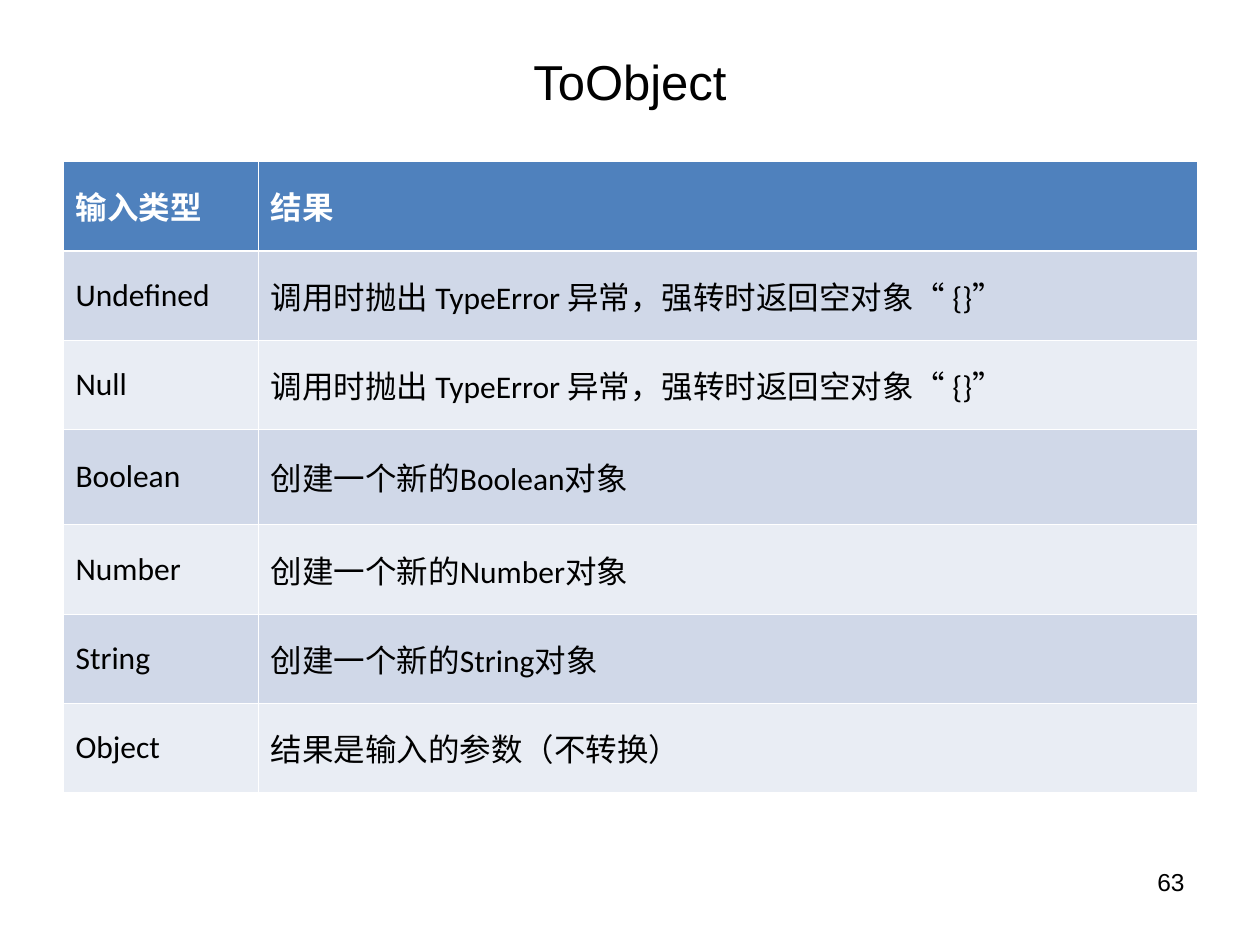
import pptx
import pptx.dml.color
import pptx.enum.text
import pptx.oxml
import pptx.oxml.ns
import pptx.util

Pt = pptx.util.Pt
RGBColor = pptx.dml.color.RGBColor
Align = pptx.enum.text.PP_ALIGN
Anchor = pptx.enum.text.MSO_ANCHOR

BLACK = RGBColor(0x00, 0x00, 0x00)
WHITE = RGBColor(0xFF, 0xFF, 0xFF)
HEADER_BLUE = RGBColor(0x4F, 0x81, 0xBD)
BAND_DARK = RGBColor(0xD0, 0xD8, 0xE8)
BAND_LIGHT = RGBColor(0xE9, 0xED, 0xF4)

THIN = 0.45
THICK = 1.47
COLUMN_WIDTHS = (111.6, 536.4)
ROW_HEIGHTS = (51, 51, 51, 54.6, 51, 51, 51)

THROWS = (
    ("调用时抛出 TypeError 异常，强转时返回空对象", "Calibri"),
    ("“ ", "Arial"),
    ("{}", "Calibri"),
    ("”", "Arial"),
)


def plain(text):
    """Return text as a single Calibri run."""
    return ((text, "Calibri"),)


ROWS = [
    ("输入类型", plain("结果")),
    ("Undefined", THROWS),
    ("Null", THROWS),
    *((name, plain(f"创建一个新的{name}对象")) for name in ("Boolean", "Number", "String")),
    ("Object", plain("结果是输入的参数（不转换）")),
]


def add_text(slide, box, text, size, alignment, anchor):
    """Place one line of Arial text in the box."""
    shape = slide.shapes.add_textbox(*map(Pt, box))
    frame = shape.text_frame
    frame.word_wrap = True
    frame.vertical_anchor = anchor
    paragraph = frame.paragraphs[0]
    paragraph.text = text
    paragraph.alignment = alignment
    paragraph.font.size = Pt(size)
    paragraph.font.name = "Arial"
    paragraph.font.color.rgb = BLACK


def set_borders(cell, top, bottom):
    """Draw white borders of the given top and bottom widths."""
    properties = cell._tc.get_or_add_tcPr()
    for side, width in (("L", THIN), ("R", THIN), ("T", top), ("B", bottom)):
        properties.append(pptx.oxml.parse_xml(
            f'<a:ln{side} {pptx.oxml.ns.nsdecls("a")} w="{int(Pt(width))}">'
            f'<a:solidFill><a:srgbClr val="{WHITE}"/></a:solidFill></a:ln{side}>'
        ))


def fill_cell(cell, runs, row):
    """Write the runs into a cell and style it by its row number."""
    is_header = row == 0
    set_borders(cell, THICK if row == 1 else THIN, THICK if is_header else THIN)
    cell.fill.solid()
    cell.fill.fore_color.rgb = HEADER_BLUE if is_header else (BAND_LIGHT, BAND_DARK)[row % 2]
    cell.vertical_anchor = Anchor.MIDDLE
    paragraph = cell.text_frame.paragraphs[0]
    paragraph.font.size = Pt(18)
    paragraph.font.bold = is_header
    paragraph.font.color.rgb = WHITE if is_header else BLACK
    for text, font_name in runs:
        run = paragraph.add_run()
        run.text = text
        run.font.name = font_name


def add_conversion_table(slide, box):
    """Place the table of input types and conversion results in the box."""
    table = slide.shapes.add_table(len(ROWS), len(COLUMN_WIDTHS), *map(Pt, box)).table
    for column, width in zip(table.columns, COLUMN_WIDTHS):
        column.width = Pt(width)
    for row, (input_type, result) in enumerate(ROWS):
        table.rows[row].height = Pt(ROW_HEIGHTS[row])
        fill_cell(table.cell(row, 0), plain(input_type), row)
        fill_cell(table.cell(row, 1), result, row)


def main():
    """Build the slide and save it."""
    presentation = pptx.Presentation()
    presentation.slide_width = Pt(720)
    presentation.slide_height = Pt(540)
    slide = presentation.slides.add_slide(presentation.slide_layouts[6])
    add_text(slide, (516, 492, 168, 37.5), "63", 14, Align.RIGHT, Anchor.TOP)
    add_text(slide, (36, 21.6, 648, 49.7), "ToObject", 28, Align.CENTER, Anchor.MIDDLE)
    add_conversion_table(slide, (36, 92.3, sum(COLUMN_WIDTHS), sum(ROW_HEIGHTS)))
    presentation.save("out.pptx")


if __name__ == "__main__":
    main()
